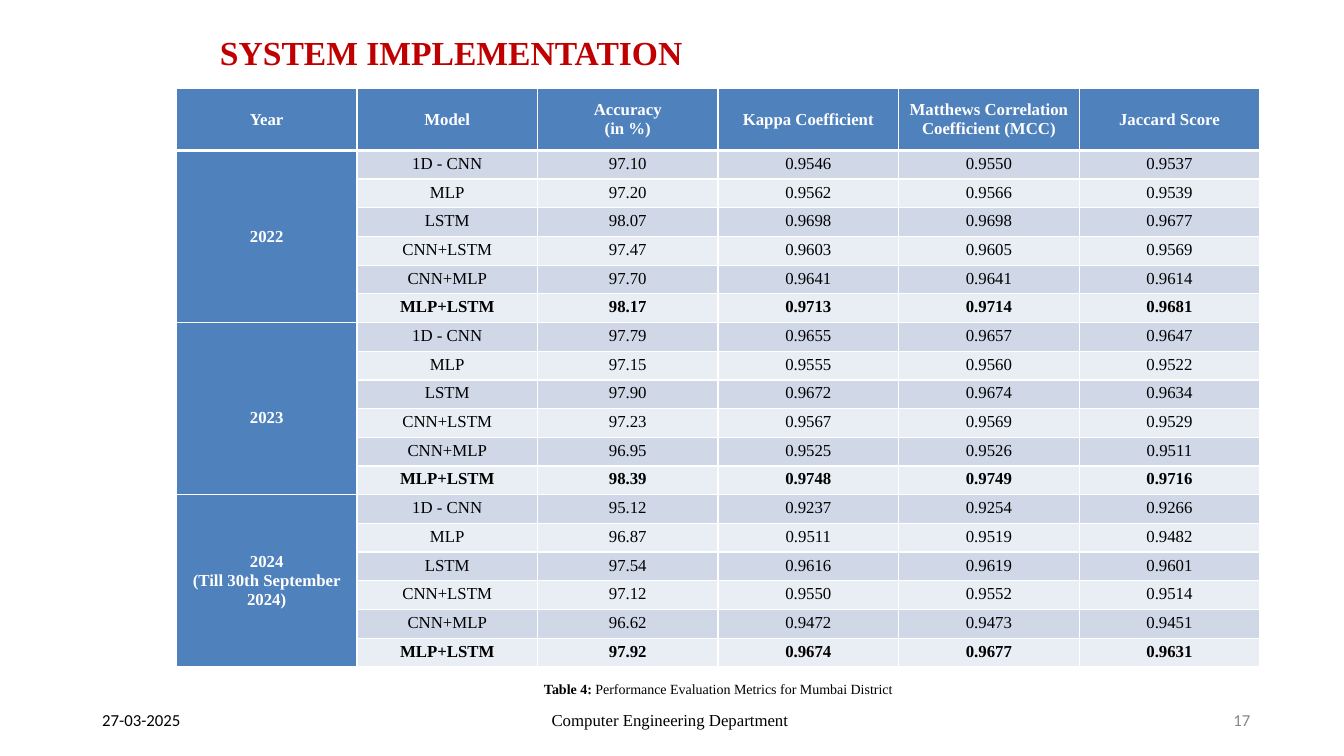
import dataclasses

import lxml.etree
import pptx
import pptx.dml.color
import pptx.enum.text
import pptx.oxml.ns
import pptx.util

Pt = pptx.util.Pt
ALIGN = pptx.enum.text.PP_ALIGN


@dataclasses.dataclass(frozen=True)
class Theme:
    """Colours, fonts and type sizes of the slide."""
    serif: str = "Times New Roman"
    sans: str = "Calibri"
    title: str = "C00000"
    header: str = "4F81BD"
    bands: tuple = ("D0D8E8", "E9EDF4")
    ink: str = "000000"
    light: str = "FFFFFF"
    muted: str = "888888"
    title_size: float = 24
    body_size: float = 12
    caption_size: float = 10


THEME = Theme()
HEADINGS = ("Year", "Model", "Accuracy\n(in %)", "Kappa Coefficient",
            "Matthews Correlation Coefficient (MCC)", "Jaccard Score")
MODELS = ("1D - CNN", "MLP", "LSTM", "CNN+LSTM", "CNN+MLP", "MLP+LSTM")
RESULTS = {
    "2022": (
        ("97.10", "0.9546", "0.9550", "0.9537"),
        ("97.20", "0.9562", "0.9566", "0.9539"),
        ("98.07", "0.9698", "0.9698", "0.9677"),
        ("97.47", "0.9603", "0.9605", "0.9569"),
        ("97.70", "0.9641", "0.9641", "0.9614"),
        ("98.17", "0.9713", "0.9714", "0.9681"),
    ),
    "2023": (
        ("97.79", "0.9655", "0.9657", "0.9647"),
        ("97.15", "0.9555", "0.9560", "0.9522"),
        ("97.90", "0.9672", "0.9674", "0.9634"),
        ("97.23", "0.9567", "0.9569", "0.9529"),
        ("96.95", "0.9525", "0.9526", "0.9511"),
        ("98.39", "0.9748", "0.9749", "0.9716"),
    ),
    "2024\n(Till 30th September 2024)": (
        ("95.12", "0.9237", "0.9254", "0.9266"),
        ("96.87", "0.9511", "0.9519", "0.9482"),
        ("97.54", "0.9616", "0.9619", "0.9601"),
        ("97.12", "0.9550", "0.9552", "0.9514"),
        ("96.62", "0.9472", "0.9473", "0.9451"),
        ("97.92", "0.9674", "0.9677", "0.9631"),
    ),
}


def style_font(font, name, size, color, bold=False):
    """Set the face, size, colour and weight of a font."""
    font.name, font.size, font.bold = name, Pt(size), bold
    font.color.rgb = pptx.dml.color.RGBColor.from_string(color)


def add_text_box(page, box, inset=None):
    """Add an empty wrapping text box and return its text frame."""
    frame = page.shapes.add_textbox(*map(Pt, box)).text_frame
    frame.word_wrap = True
    frame.auto_size = pptx.enum.text.MSO_AUTO_SIZE.SHAPE_TO_FIT_TEXT
    if inset is not None:
        frame.margin_left = Pt(inset)
        frame.margin_top = frame.margin_right = frame.margin_bottom = 0
    return frame


def add_title(page, box):
    """Add the slide title."""
    para = add_text_box(page, box).paragraphs[0]
    para.text = "SYSTEM IMPLEMENTATION"
    style_font(para.font, THEME.serif, THEME.title_size, THEME.title, True)


def add_caption(page, box):
    """Add the table caption with its bold label."""
    para = add_text_box(page, box).paragraphs[0]
    para.alignment, para.line_spacing = ALIGN.CENTER, 1.5
    for text, bold in (("Table 4: ", True),
                       ("Performance Evaluation Metrics for Mumbai District", False)):
        span = para.add_run()
        span.text = text
        style_font(span.font, THEME.serif, THEME.caption_size, THEME.ink, bold)


def add_footer(page, box):
    """Add the date, department and page number along the footer band."""
    left, top, width, height = box
    parts = (
        ("27-03-2025", 0, 60, 1, THEME.sans, THEME.ink),
        ("Computer Engineering Department", 321, 174, 1, THEME.serif, THEME.ink),
        ("17", width - 22, 22, 3, THEME.sans, THEME.muted),
    )
    for text, offset, part_width, inset, face, color in parts:
        frame = add_text_box(page, (left + offset, top, part_width, height), inset)
        para = frame.paragraphs[0]
        para.text, para.line_spacing = text, Pt(12.4)
        style_font(para.font, face, THEME.body_size, color)


def add_borders(cell, widths):
    """Draw the light cell borders, given widths by side."""
    properties = cell._tc.get_or_add_tcPr()
    qualify = pptx.oxml.ns.qn
    for side in ("L", "R", "T", "B"):
        line = lxml.etree.SubElement(properties, qualify(f"a:ln{side}"),
                                     w=str(Pt(widths.get(side, 1))))
        fill = lxml.etree.SubElement(line, qualify("a:solidFill"))
        lxml.etree.SubElement(fill, qualify("a:srgbClr"), val=THEME.light)


def fill_cell(cell, text, fill, color, bold, middle, borders):
    """Write and style one table cell."""
    add_borders(cell, borders)
    cell.fill.solid()
    cell.fill.fore_color.rgb = pptx.dml.color.RGBColor.from_string(fill)
    cell.margin_left = cell.margin_right = Pt(2.88)
    cell.margin_top = cell.margin_bottom = Pt(2.88)
    anchors = pptx.enum.text.MSO_ANCHOR
    cell.vertical_anchor = anchors.MIDDLE if middle else anchors.TOP
    cell.text = text
    for para in cell.text_frame.paragraphs:
        para.alignment = ALIGN.CENTER
        style_font(para.font, THEME.serif, THEME.body_size, color, bold)


def add_results_table(page, box):
    """Add the metrics table with one merged year cell for each group."""
    group_size = len(MODELS)
    row_count = 1 + group_size * len(RESULTS)
    table = page.shapes.add_table(row_count, len(HEADINGS), *map(Pt, box)).table
    header_height = 44
    for column in table.columns:
        column.width = Pt(box[2] / len(HEADINGS))
    for index, row in enumerate(table.rows):
        row.height = Pt((box[3] - header_height) / (row_count - 1) if index else header_height)
    for column, heading in enumerate(HEADINGS):
        fill_cell(table.cell(0, column), heading, THEME.header, THEME.light,
                  True, True, {"B": 3})
    for group, (year, metrics) in enumerate(RESULTS.items()):
        first = 1 + group * group_size
        for offset, (model, values) in enumerate(zip(MODELS, metrics)):
            row = first + offset
            borders = {"T": 3} if row == 1 else {}
            fill_cell(table.cell(row, 0), "" if offset else year, THEME.header,
                      THEME.light, True, True, borders)
            for column, text in enumerate((model, *values), start=1):
                fill_cell(table.cell(row, column), text, THEME.bands[offset % 2],
                          THEME.ink, model == MODELS[-1], False, borders)
        year_cell = table.cell(first, 0)
        year_cell.merge(table.cell(first + group_size - 1, 0))
        if year == "2023":
            year_cell.margin_top = Pt(16.7)


def main():
    """Build the deck and save it."""
    deck = pptx.Presentation()
    deck.slide_width, deck.slide_height = Pt(960), Pt(540)
    page = deck.slides.add_slide(deck.slide_layouts[6])
    add_footer(page, (72, 509, 828, 12.4))
    add_results_table(page, (126, 63.4, 774, 413))
    add_caption(page, (126, 476.6, 774, 23))
    add_title(page, (150, 19.4, 546, 36))
    deck.save("out.pptx")


if __name__ == "__main__":
    main()
